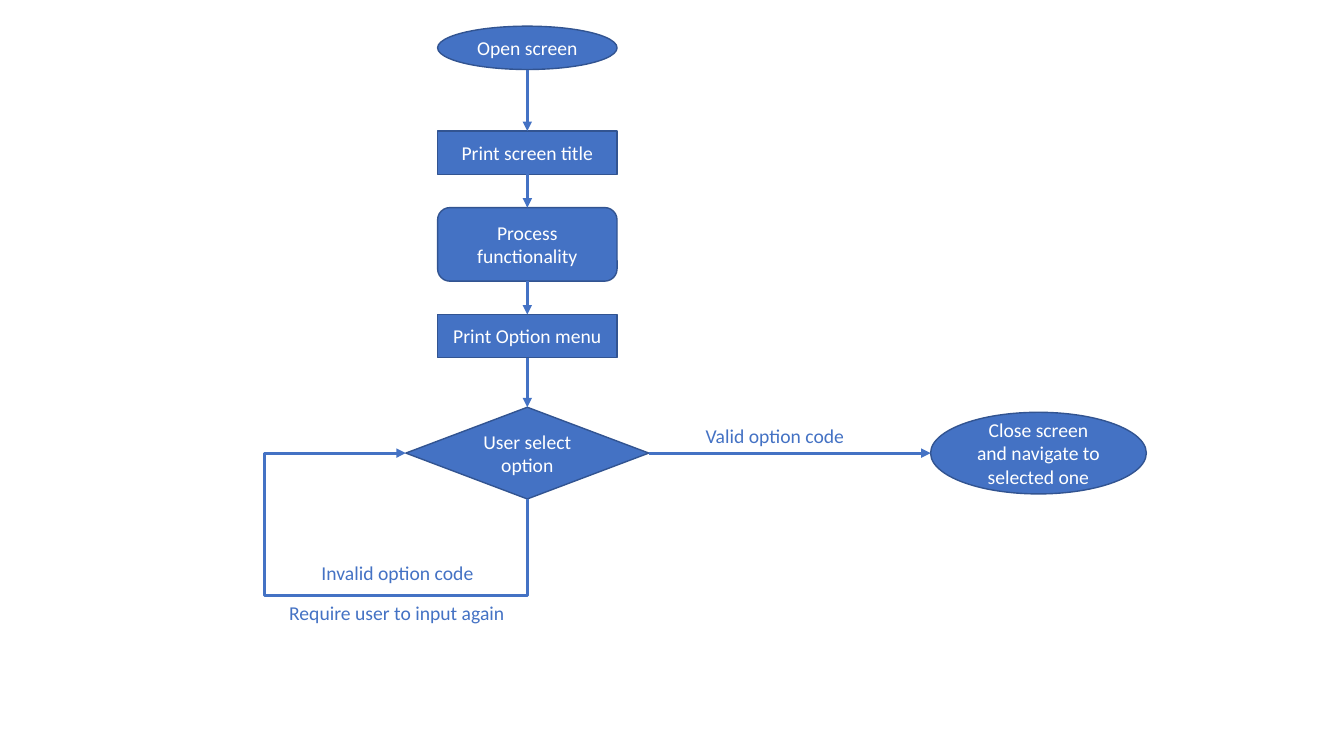
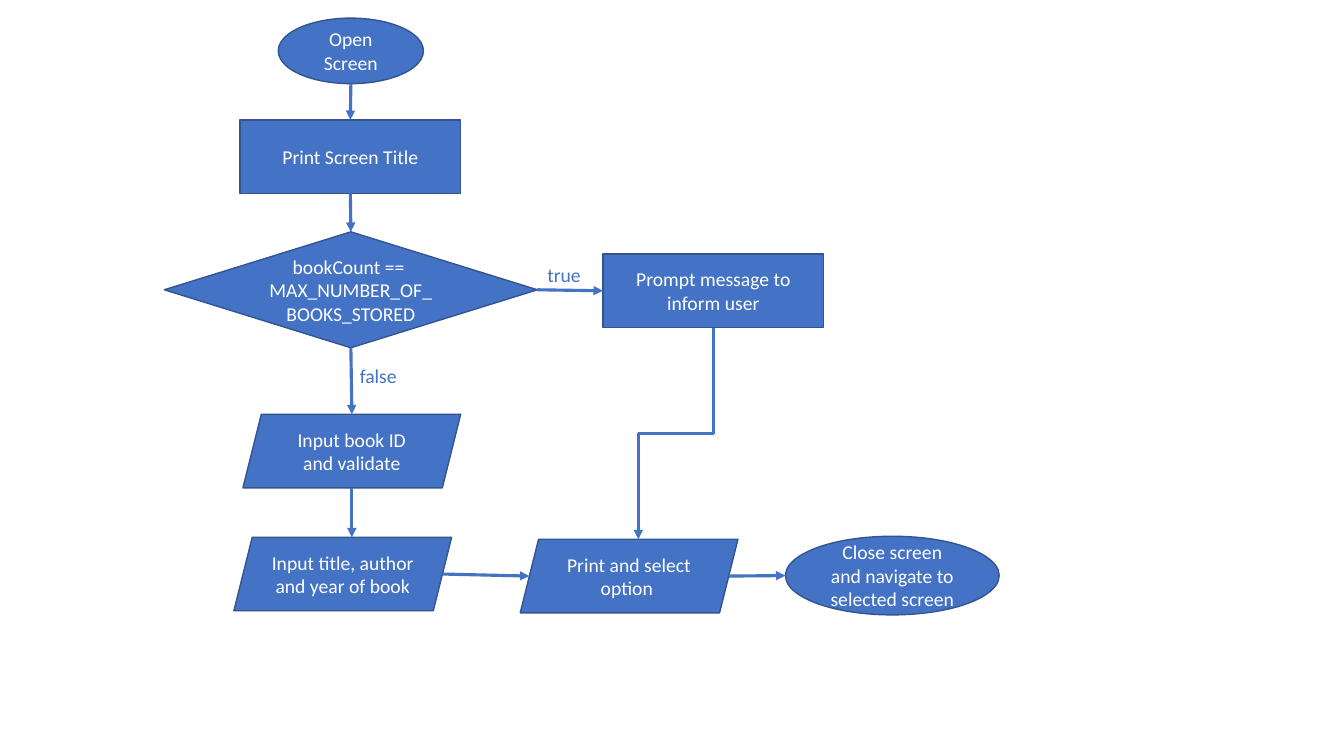
from dataclasses import dataclass

from lxml.etree import SubElement
from pptx import Presentation
from pptx.dml.color import RGBColor
from pptx.enum.shapes import MSO_CONNECTOR as Connector, MSO_SHAPE as Kind
from pptx.enum.text import MSO_ANCHOR as Anchor, MSO_AUTO_SIZE as AutoSize, PP_ALIGN as Align
from pptx.oxml.ns import qn
from pptx.slide import Slide
from pptx.util import Inches, Pt

BLUE, EDGE, WHITE = "4472C4", "325491", "FFFFFF"
FONT, TEXT_SIZE = "Calibri", 14
SLIDE_WIDTH, SLIDE_HEIGHT = Inches(13.33), Inches(7.5)
GRID_ROWS = 75
SIDES = {"top": (0.5, 0), "left": (0, 0.5), "bottom": (0.5, 1), "right": (1, 0.5)}
FOUR_SITED = (Kind.RECTANGLE, Kind.ROUNDED_RECTANGLE, Kind.DIAMOND)
SLANT = 0.9  # cells from a parallelogram's box to the middle of its slanted side


def paint(color_format, color):
    """Set a fill's or font's colour from a hex string."""
    color_format.rgb = RGBColor.from_string(color)


def write(frame, text, color, align):
    """Fill a text frame, one paragraph per line of text."""
    frame.text = text
    for paragraph in frame.paragraphs:
        paragraph.alignment = align
        paragraph.font.name, paragraph.font.size = FONT, Pt(TEXT_SIZE)
        paint(paragraph.font.color, color)


def style_arrow(arrow):
    """Give a connector the flow's line, arrowhead and no shadow."""
    arrow.line.width = Pt(2.25)
    paint_line(arrow.line, BLUE)
    SubElement(arrow.line._get_or_add_ln(), qn("a:tailEnd"), type="triangle")
    SubElement(arrow.element.spPr, qn("a:effectLst"))


def paint_line(line, color):
    """Give an outline one solid colour."""
    line.fill.solid()
    paint(line.fill.fore_color, color)


@dataclass
class Flow:
    """A flowchart on a square grid laid over the given box."""
    slide: Slide
    left: int
    top: int
    height: int

    def cells(self, count):
        """Turn a number of grid cells into a length."""
        return round(self.height / GRID_ROWS * count)

    def place(self, x, y, width, height):
        """Turn a grid box into slide lengths."""
        return (self.left + self.cells(x), self.top + self.cells(y),
                self.cells(width), self.cells(height))

    def step(self, kind, text, x, y, width, height):
        """Draw one step of the flow."""
        step = self.slide.shapes.add_shape(kind, *self.place(x, y, width, height))
        step.shadow.inherit = False
        step.fill.solid()
        paint(step.fill.fore_color, BLUE)
        step.line.width = Pt(1)
        paint_line(step.line, EDGE)
        step.text_frame.word_wrap = True
        step.text_frame.vertical_anchor = Anchor.MIDDLE
        write(step.text_frame, text, WHITE, Align.CENTER)
        return step

    def note(self, text, x, y, width):
        """Write a one-line label beside an arrow."""
        note = self.slide.shapes.add_textbox(*self.place(x, y, width, 3.4))
        note.text_frame.word_wrap = False
        note.text_frame.auto_size = AutoSize.SHAPE_TO_FIT_TEXT
        write(note.text_frame, text, BLUE, Align.LEFT)

    def port(self, step, side, nudge=0):
        """Find the point on a step's side, moved sideways by some cells."""
        across, down = SIDES[side]
        return (round(step.left + across * step.width) + self.cells(nudge),
                round(step.top + down * step.height))

    def link(self, source, target):
        """Join two (step, side, nudge) ends with a straight arrow."""
        arrow = self.slide.shapes.add_connector(
            Connector.STRAIGHT, *self.port(*source), *self.port(*target))
        for connect, (step, side, *nudge) in ((arrow.begin_connect, source),
                                              (arrow.end_connect, target)):
            if step.auto_shape_type in FOUR_SITED and not nudge:
                connect(step, list(SIDES).index(side))
        style_arrow(arrow)

    def bend(self, source, target, *turns):
        """Join two ends with an elbow that leaves downwards; turns are shares of the way."""
        (x1, y1), (x2, y2) = self.port(*source), self.port(*target)
        mid_x, mid_y = (x1 + x2) // 2, (y1 + y2) // 2
        # The connector is laid flat around its centre, then turned a quarter clockwise.
        arrow = self.slide.shapes.add_connector(
            Connector.ELBOW, mid_x + y1 - mid_y, mid_y + mid_x - x1,
            mid_x + y2 - mid_y, mid_y + mid_x - x2)
        properties = arrow.element.spPr
        properties.find(qn("a:xfrm")).set("rot", str(90 * 60000))
        geometry = properties.find(qn("a:prstGeom"))
        geometry.set("prst", f"bentConnector{len(turns) + 2}")
        guides = geometry.find(qn("a:avLst"))
        if guides is None:
            guides = SubElement(geometry, qn("a:avLst"))
        for number, share in enumerate(turns, 1):
            SubElement(guides, qn("a:gd"), name=f"adj{number}",
                       fmla=f"val {round(share * 100000)}")
        style_arrow(arrow)


def draw_screen_flow(flow):
    """Draw the general flow of a screen."""
    column, width, low = 43.4, 17.8, 4.3
    main_steps = [flow.step(kind, text, column, y, width, height)
                  for kind, text, y, height in (
                      (Kind.OVAL, "Open screen", 2.6, low),
                      (Kind.RECTANGLE, "Print screen title", 13, low),
                      (Kind.ROUNDED_RECTANGLE, "Process functionality", 20.6, 7.3),
                      (Kind.RECTANGLE, "Print Option menu", 31.2, low))]
    choice = flow.step(Kind.DIAMOND, "User select option", 40.25, 40.4, 24.1, 9.1)
    close = flow.step(Kind.OVAL, "Close screen and navigate to selected one",
                      92.3, 40.9, 21.4, 8.1)
    main_steps.append(choice)
    for upper, lower in zip(main_steps, main_steps[1:]):
        flow.link((upper, "bottom"), (lower, "top"))
    flow.link((choice, "right"), (close, "left"))
    flow.bend((choice, "bottom"), (choice, "left"), -2.11, 2.16)
    flow.note("Valid option code", 69, 41.6, 15.9)
    flow.note("Invalid option code", 30.9, 55.2, 17.3)
    flow.note("Require user to input again", 27.7, 59.1, 23.6)


def draw_add_book_flow(flow):
    """Draw the flow of the screen that adds a book."""
    height, box_width, input_width = 7.3, 21.9, 21.6
    start = flow.step(Kind.OVAL, "Open Screen", 27.6, 1.8, 14.4, 6.5)
    title = flow.step(Kind.RECTANGLE, "Print Screen Title", 23.8, 11.9, box_width, height)
    check = flow.step(Kind.DIAMOND, "bookCount == \nMAX_NUMBER_OF_BOOKS_STORED",
                      16.3, 23, 37, 11.5)
    warning = flow.step(Kind.RECTANGLE, "Prompt message to\ninform user",
                        59.8, 25.2, box_width, height)
    book_id, details, option = [
        flow.step(Kind.PARALLELOGRAM, text, x, y, input_width, height)
        for text, x, y in (("Input book ID\nand validate", 24.1, 41.1),
                           ("Input title, author\nand year of book", 23.2, 53.3),
                           ("Print and select option ", 51.6, 53.5))]
    close = flow.step(Kind.OVAL, "Close screen and navigate to selected screen",
                      77.9, 53.2, 21.2, 7.8)
    for upper, lower in ((start, title), (title, check), (check, book_id)):
        flow.link((upper, "bottom"), (lower, "top"))
    flow.link((book_id, "bottom"), (details, "top", SLANT))
    flow.link((check, "right"), (warning, "left"))
    flow.link((details, "right", -SLANT), (option, "left", SLANT))
    flow.link((option, "right", -SLANT), (close, "left"))
    flow.bend((warning, "bottom"), (option, "top", SLANT), 0.5)
    flow.note("false", 34.7, 35.6, 5.7)
    flow.note("true", 53.3, 25.6, 5.4)


def build():
    """Build and save the presentation."""
    deck = Presentation()
    deck.slide_width, deck.slide_height = SLIDE_WIDTH, SLIDE_HEIGHT
    blank = deck.slide_layouts[6]
    for draw in (draw_screen_flow, draw_add_book_flow):
        draw(Flow(deck.slides.add_slide(blank), 0, 0, SLIDE_HEIGHT))
    deck.save("out.pptx")


build()
